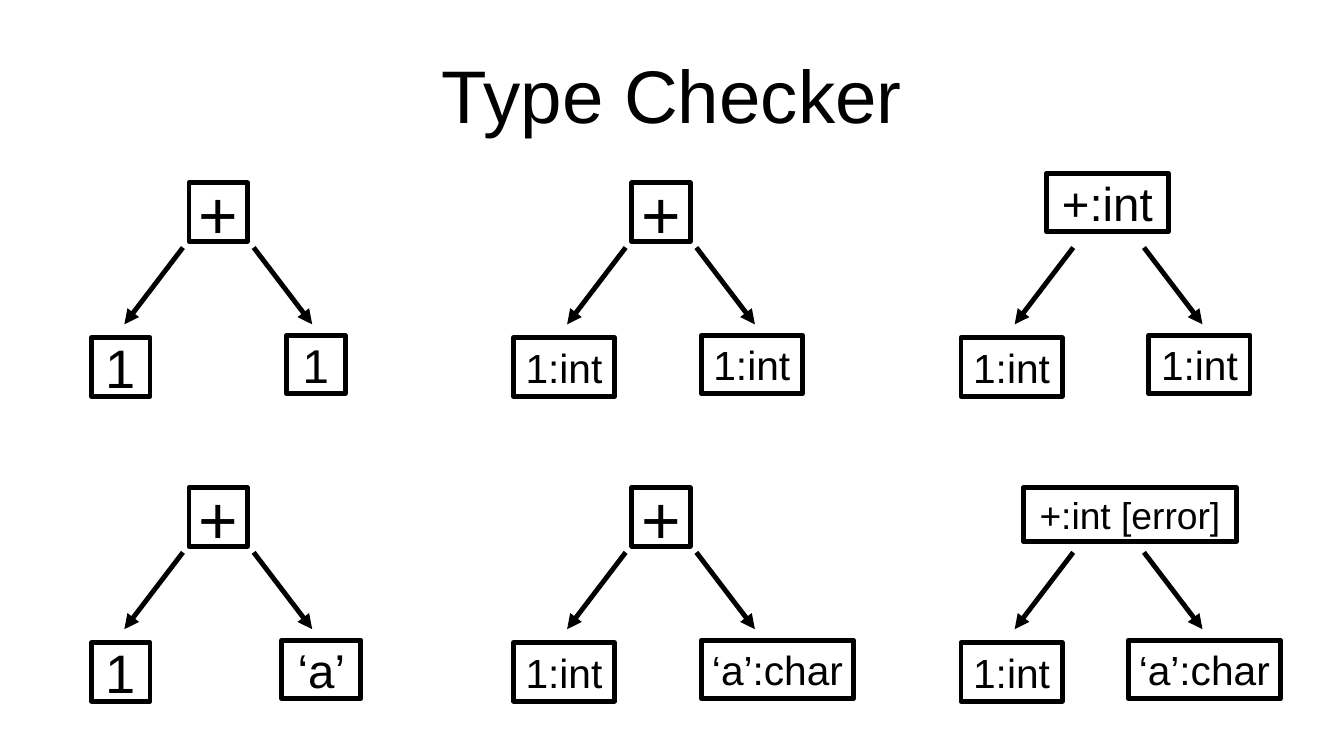
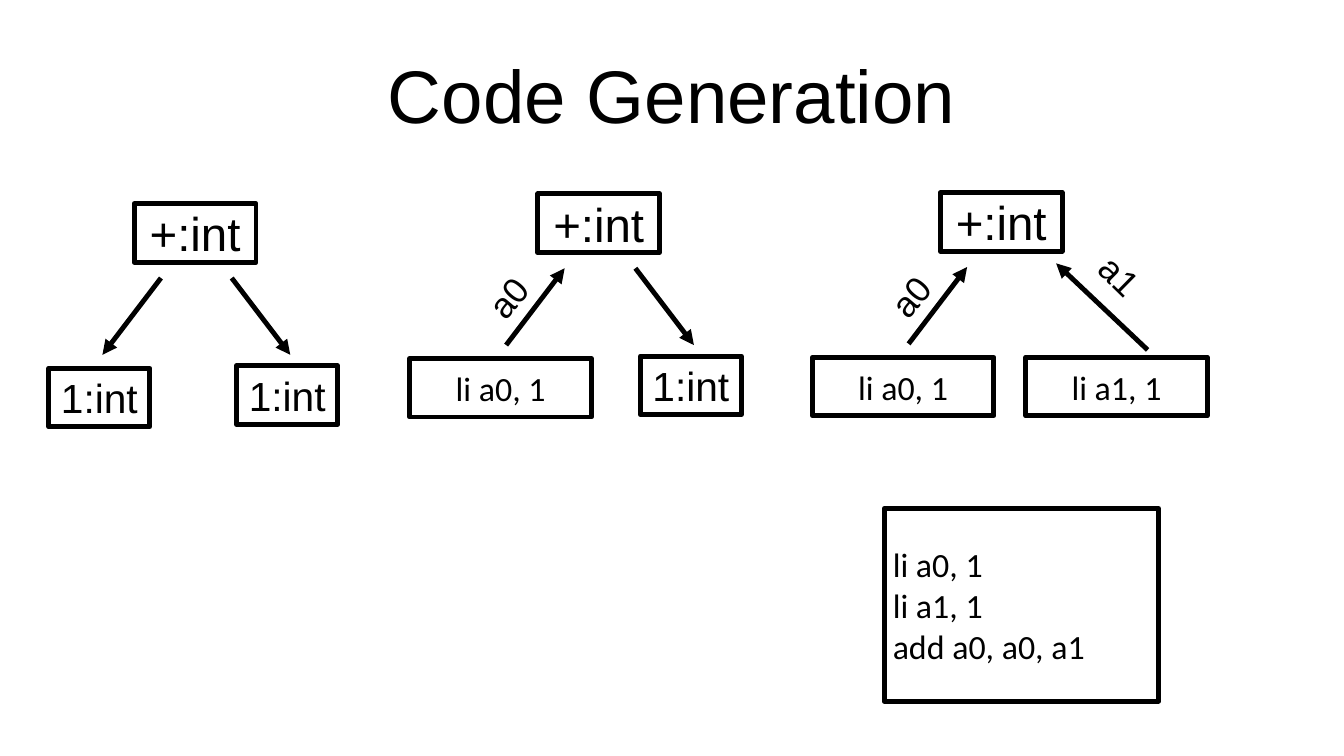
from dataclasses import dataclass, replace

from lxml import etree
from pptx import Presentation
from pptx.dml.color import RGBColor
from pptx.enum.shapes import MSO_CONNECTOR, MSO_SHAPE
from pptx.enum.text import MSO_ANCHOR, PP_ALIGN
from pptx.oxml.ns import qn
from pptx.util import Emu, Pt

PX = 9144
BLACK = RGBColor(0x00, 0x00, 0x00)
WHITE = RGBColor(0xFF, 0xFF, 0xFF)
SANS, CODE = "Arial", "Calibri"
STROKE = Pt(2.89)
RECT, STRAIGHT = MSO_SHAPE.RECTANGLE, MSO_CONNECTOR.STRAIGHT
TOP, MIDDLE = MSO_ANCHOR.TOP, MSO_ANCHOR.MIDDLE
LEFT, CENTER = PP_ALIGN.LEFT, PP_ALIGN.CENTER


@dataclass(frozen=True)
class Node:
    text: str
    dx: int
    dy: int
    w: int
    size: int
    h: int = 48
    font: str = SANS
    align: PP_ALIGN = CENTER


@dataclass(frozen=True)
class Arrow:
    x1: int
    y1: int
    x2: int
    y2: int


@dataclass(frozen=True)
class Label:
    text: str
    dx: int
    dy: int
    angle: float


@dataclass(frozen=True)
class Tree:
    axis: int
    top: int
    nodes: tuple[Node, ...]
    arrows: tuple[Arrow, ...]
    labels: tuple[Label, ...] = ()


DOWN_LEFT = Arrow(-29, 53, -77, 116)
DOWN_RIGHT = Arrow(29, 53, 77, 116)
UP_LEFT = Arrow(-77, 116, -29, 53)
UP_RIGHT = Arrow(119, 121, 44, 50)
DOWN = (DOWN_LEFT, DOWN_RIGHT)

PLUS = Node("+", -24, 0, 48, 40)
PLUS_INT = Node("+:int", -51, -8, 100, 28)
PLUS_ERROR = Node("+:int [error]", -70, 0, 175, 22, 44)
LEFT_ONE = Node("1", -104, 127, 48, 32)
RIGHT_ONE = Node("1", 56, 125, 48, 28)
RIGHT_A = Node("‘a’", 52, 125, 65, 28)
LEFT_INT = Node("1:int", -121, 127, 83, 24)
RIGHT_INT = Node("1:int", 33, 125, 83, 24)
RIGHT_CHAR = Node("‘a’:char", 33, 125, 125, 24)
LOAD_A0 = Node("li a0, 1", -156, 127, 149, 20, font=CODE)
LOAD_A1 = Node("li a1, 1", 19, 127, 149, 20, font=CODE)
LABEL_A0 = Label("a0", -107, 46, 310.4)
LABEL_A1 = Label("a1", 68, 46, 44.5)
PROGRAM = Node("li a0, 1\nli a1, 1\nadd a0, a0, a1", 725, 417, 225, 20, 158, CODE, LEFT)

AXES = (179, 542, 909)
TYPE_ROWS = {
    150: ((PLUS, LEFT_ONE, RIGHT_ONE),
          (PLUS, LEFT_INT, RIGHT_INT),
          (PLUS_INT, LEFT_INT, RIGHT_INT)),
    400: ((PLUS, LEFT_ONE, RIGHT_A),
          (PLUS, LEFT_INT, RIGHT_CHAR),
          (PLUS_ERROR, LEFT_INT, replace(RIGHT_CHAR, dx=16))),
}
TYPE_TREES = [Tree(axis, top, nodes, DOWN)
              for top, row in TYPE_ROWS.items()
              for axis, nodes in zip(AXES, row)]
CODE_TREES = [
    Tree(161, 175, (PLUS_INT, LEFT_INT, RIGHT_INT), DOWN),
    Tree(492, 167, (PLUS_INT, LOAD_A0, RIGHT_INT), (UP_LEFT, DOWN_RIGHT), (LABEL_A0,)),
    Tree(822, 166, (PLUS_INT, LOAD_A0, LOAD_A1), (UP_LEFT, UP_RIGHT), (LABEL_A0, LABEL_A1)),
]


def px(*values: int) -> list[Emu]:
    return [Emu(v * PX) for v in values]


def set_text(sp, text: str, size: int, font: str, align: PP_ALIGN,
             anchor: MSO_ANCHOR, inset_x: int, inset_y: int) -> None:
    tf = sp.text_frame
    tf.word_wrap = True
    tf.vertical_anchor = anchor
    tf.margin_left, tf.margin_right = px(inset_x, inset_x)
    tf.margin_top, tf.margin_bottom = px(inset_y, inset_y)
    tf.text = text
    for p in tf.paragraphs:
        p.alignment = align
        p.font.name = font
        p.font.size = Pt(size)
        p.font.color.rgb = BLACK


def set_stroke(line):
    line.color.rgb = BLACK
    line.width = STROKE
    ln = line.fill._xPr
    etree.SubElement(ln, qn("a:round"))
    return ln


def add_node(s, node: Node, x: int = 0, y: int = 0) -> None:
    sp = s.shapes.add_shape(RECT, *px(x + node.dx, y + node.dy, node.w, node.h))
    sp.shadow.inherit = False
    sp.fill.background()
    set_stroke(sp.line)
    set_text(sp, node.text, node.size, node.font, node.align, MIDDLE, 7, 2)


def add_arrow(s, arrow: Arrow, x: int, y: int) -> None:
    ends = px(x + arrow.x1, y + arrow.y1, x + arrow.x2, y + arrow.y2)
    cxn = s.shapes.add_connector(STRAIGHT, *ends)
    ln = set_stroke(cxn.line)
    etree.SubElement(ln, qn("a:tailEnd"), type="triangle")
    etree.SubElement(cxn._element.spPr, qn("a:effectLst"))


def add_label(s, label: Label, x: int, y: int) -> None:
    sp = s.shapes.add_textbox(*px(x + label.dx, y + label.dy, 75, 42))
    sp.rotation = label.angle
    set_text(sp, label.text, 21, SANS, LEFT, TOP, 10, 5)


def add_tree(s, tree: Tree) -> None:
    for add, items in ((add_node, tree.nodes), (add_arrow, tree.arrows),
                       (add_label, tree.labels)):
        for item in items:
            add(s, item, tree.axis, tree.top)


def add_slide(prs, title: str, trees: list[Tree]):
    s = prs.slides.add_slide(prs.slide_layouts[6])
    s.background.fill.solid()
    s.background.fill.fore_color.rgb = WHITE
    sp = s.shapes.add_textbox(*px(55, 25, 992, 104))
    set_text(sp, title, 44, SANS, CENTER, MIDDLE, 0, 0)
    for tree in trees:
        add_tree(s, tree)
    return s


def main() -> None:
    prs = Presentation()
    prs.slide_width, prs.slide_height = px(1102, 620)
    add_slide(prs, "Type Checker", TYPE_TREES)
    s = add_slide(prs, "Code Generation", CODE_TREES)
    add_node(s, PROGRAM)
    prs.save("out.pptx")


if __name__ == "__main__":
    main()
